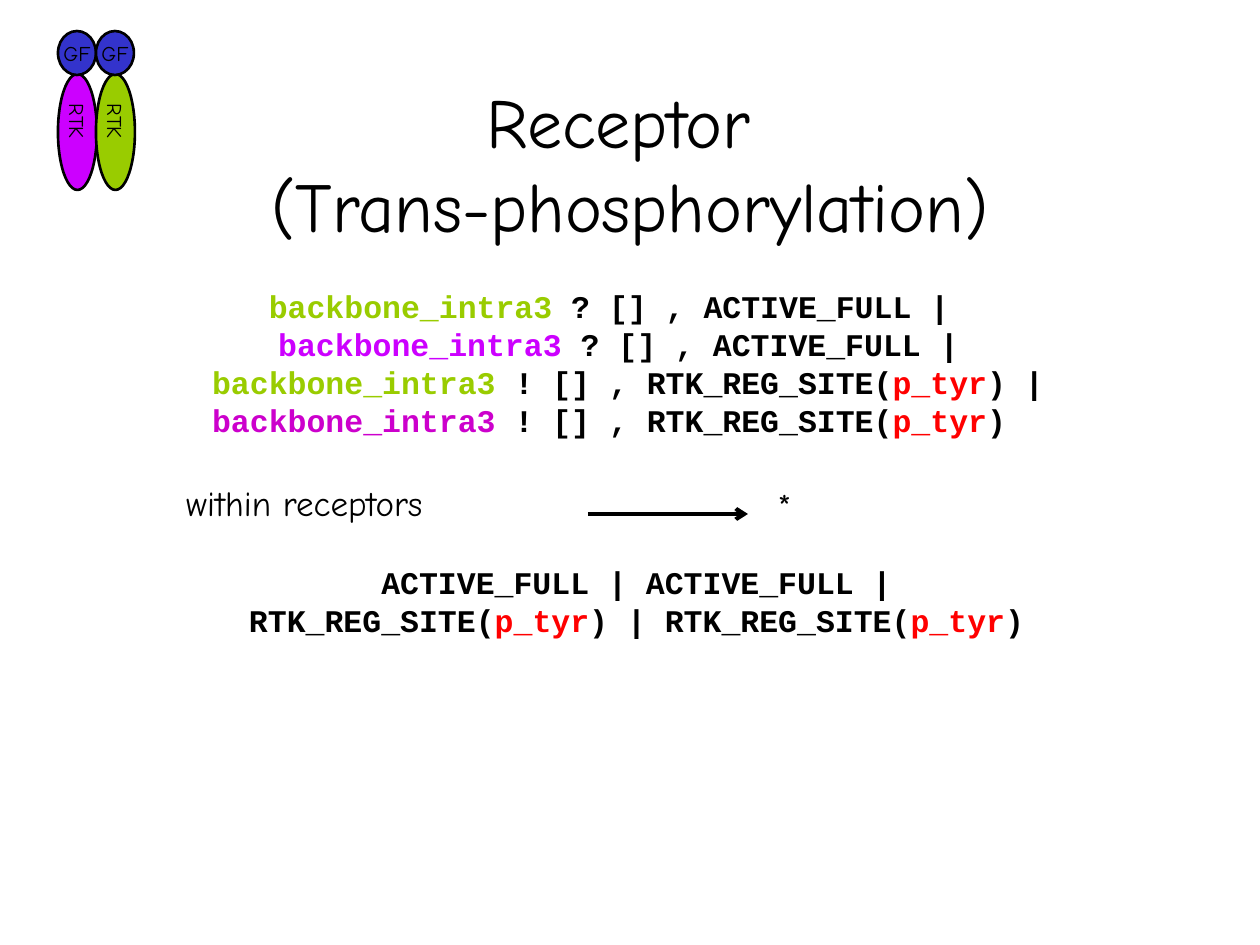
import dataclasses

import pptx
import pptx.dml.color
import pptx.enum.shapes
import pptx.enum.text
import pptx.oxml
import pptx.oxml.ns
import pptx.util

PX_PER_INCH = 126
ANCHOR = pptx.enum.text.MSO_ANCHOR


@dataclasses.dataclass(frozen=True)
class Theme:
    body_font: str = "Comic Neue"
    code_font: str = "Courier New"
    title_size: int = 40
    label_size: int = 20
    code_size: int = 18
    shape_size: int = 12
    black: str = "000000"
    green: str = "99CC00"
    magenta: str = "CC00FF"
    purple: str = "CC00CC"
    red: str = "FF0000"
    blue: str = "3333CC"


THEME = Theme()


def px(*lengths):
    return [round(length * 914400 / PX_PER_INCH) for length in lengths]


def rgb(value):
    return pptx.dml.color.RGBColor.from_string(value)


def format_paragraph(paragraph, font, size, bold=False):
    paragraph.alignment = pptx.enum.text.PP_ALIGN.CENTER
    paragraph.font.name = font
    paragraph.font.size = pptx.util.Pt(size)
    paragraph.font.bold = bold
    paragraph.font.color.rgb = rgb(THEME.black)


def set_title(slide, lines, box):
    title = slide.shapes.title
    title.left, title.top, title.width, title.height = px(*box)
    frame = title.text_frame
    frame.auto_size = pptx.enum.text.MSO_AUTO_SIZE.NONE
    frame.vertical_anchor = ANCHOR.MIDDLE
    frame.text = "\v".join(lines)
    format_paragraph(frame.paragraphs[0], THEME.body_font, THEME.title_size)


def add_label(slide, text, box):
    frame = slide.shapes.add_textbox(*px(*box)).text_frame
    frame.word_wrap = False
    frame.vertical_anchor = ANCHOR.MIDDLE
    frame.text = text
    format_paragraph(frame.paragraphs[0], THEME.body_font, THEME.label_size)


def add_code(slide, lines, box):
    """Each line is a list of plain strings and (text, colour) pairs."""
    frame = slide.shapes.add_textbox(*px(*box)).text_frame
    frame.word_wrap = True
    paragraph = frame.paragraphs[0]
    format_paragraph(paragraph, THEME.code_font, THEME.code_size, bold=True)
    for number, line in enumerate(lines):
        if number:
            paragraph.add_line_break()
        for part in line:
            text, colour = (part, THEME.black) if isinstance(part, str) else part
            run = paragraph.add_run()
            run.text = text
            run.font.color.rgb = rgb(colour)


def add_arrow(slide, start, end):
    arrow = slide.shapes.add_connector(
        pptx.enum.shapes.MSO_CONNECTOR.STRAIGHT, *px(*start, *end))
    arrow.line.color.rgb = rgb(THEME.black)
    arrow.line.width = pptx.util.Pt(2.25)
    line = arrow.line._get_or_add_ln()
    tail = pptx.oxml.parse_xml(
        f'<a:tailEnd {pptx.oxml.ns.nsdecls("a")} type="arrow"/>')
    line.append(tail)
    effects = pptx.oxml.parse_xml(f'<a:effectLst {pptx.oxml.ns.nsdecls("a")}/>')
    line.addnext(effects)


def add_ellipse(group, text, fill, box, vertical=False):
    ellipse = group.shapes.add_shape(
        pptx.enum.shapes.MSO_SHAPE.OVAL, *px(*box))
    ellipse.shadow.inherit = False
    ellipse.fill.solid()
    ellipse.fill.fore_color.rgb = rgb(fill)
    ellipse.line.color.rgb = rgb(THEME.black)
    ellipse.line.width = pptx.util.Pt(1.5)
    frame = ellipse.text_frame
    frame.word_wrap = False
    frame.vertical_anchor = ANCHOR.MIDDLE
    frame.text = text
    paragraph = frame.paragraphs[0]
    format_paragraph(paragraph, THEME.body_font, THEME.shape_size)
    if vertical:
        frame._txBody.bodyPr.set("vert", "eaVert")
        frame.margin_left = frame.margin_right = pptx.util.Inches(0.05)
        frame.margin_top = frame.margin_bottom = pptx.util.Inches(0.1)
    else:
        paragraph.space_before = pptx.util.Pt(7.5)


def add_receptor_pair(slide):
    group = slide.shapes.add_group_shape()
    columns = [(58, THEME.magenta), (96, THEME.green)]
    for left, fill in columns:
        add_ellipse(group, "RTK", fill, (left, 74, 39, 116), vertical=True)
    for left, _ in columns:
        add_ellipse(group, "GF", THEME.blue, (left, 31, 38, 44))


def main():
    presentation = pptx.Presentation()
    presentation.slide_width, presentation.slide_height = px(1260, 945)
    slide = presentation.slides.add_slide(presentation.slide_layouts[5])

    set_title(slide, ["Receptor ", "(Trans-phosphorylation)"],
              (94, 84, 1072, 158))
    add_arrow(slide, (588, 514), (748, 514))
    add_label(slide, "*", (764, 483, 41, 44))
    add_label(slide, "within receptors", (152, 480, 305, 44))

    backbone = "backbone_intra3"
    tyrosine = ("p_tyr", THEME.red)
    site = "RTK_REG_SITE("
    add_code(slide, [
        [(backbone + " ", THEME.green), "? [] , ACTIVE_FULL | "],
        [(backbone, THEME.magenta), " ? [] , ACTIVE_FULL |"],
        [" ", (backbone, THEME.green), " ! [] , " + site, tyrosine, ") |"],
        [(backbone, THEME.purple), " ! [] , " + site, tyrosine, ") "],
    ], (0, 281, 1237, 164))
    add_code(slide, [
        ["ACTIVE_FULL | ACTIVE_FULL |"],
        [" " + site, tyrosine, ") | " + site, tyrosine, ") "],
    ], (18, 557, 1237, 88))

    add_receptor_pair(slide)
    presentation.save("out.pptx")


if __name__ == "__main__":
    main()
